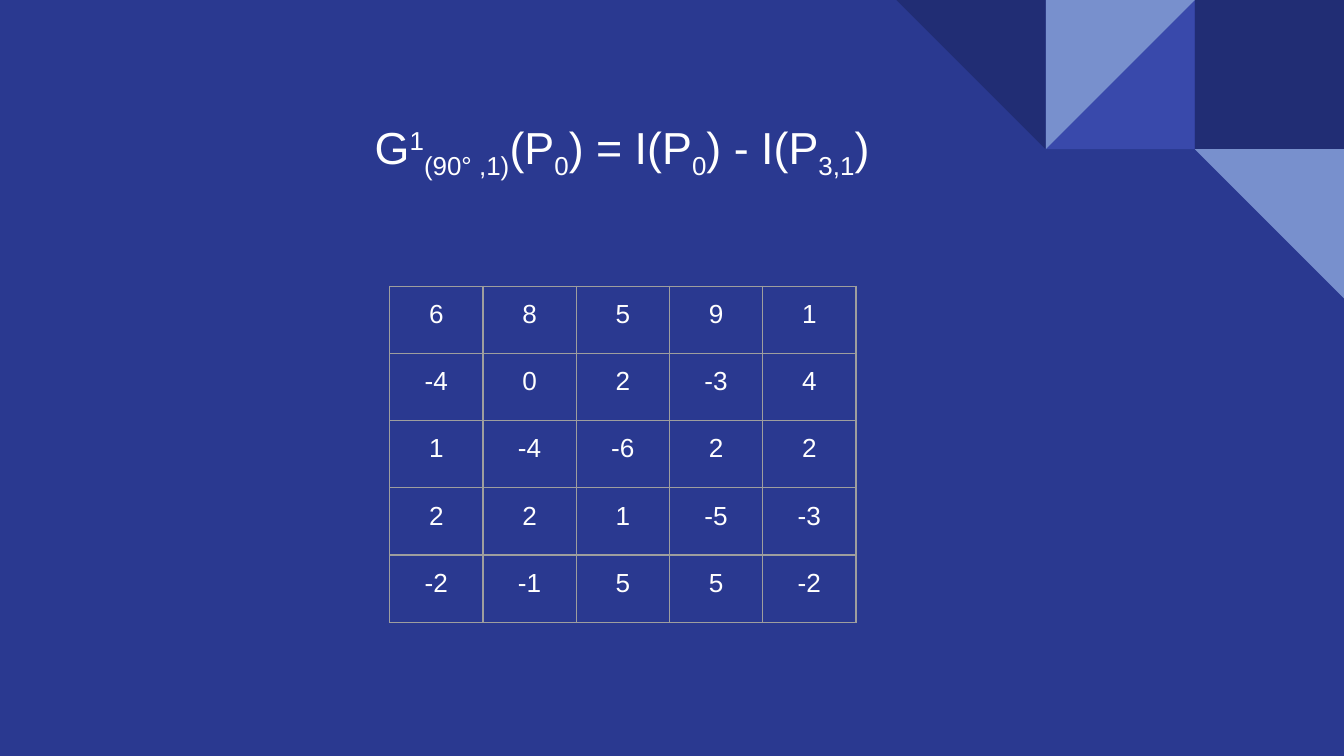
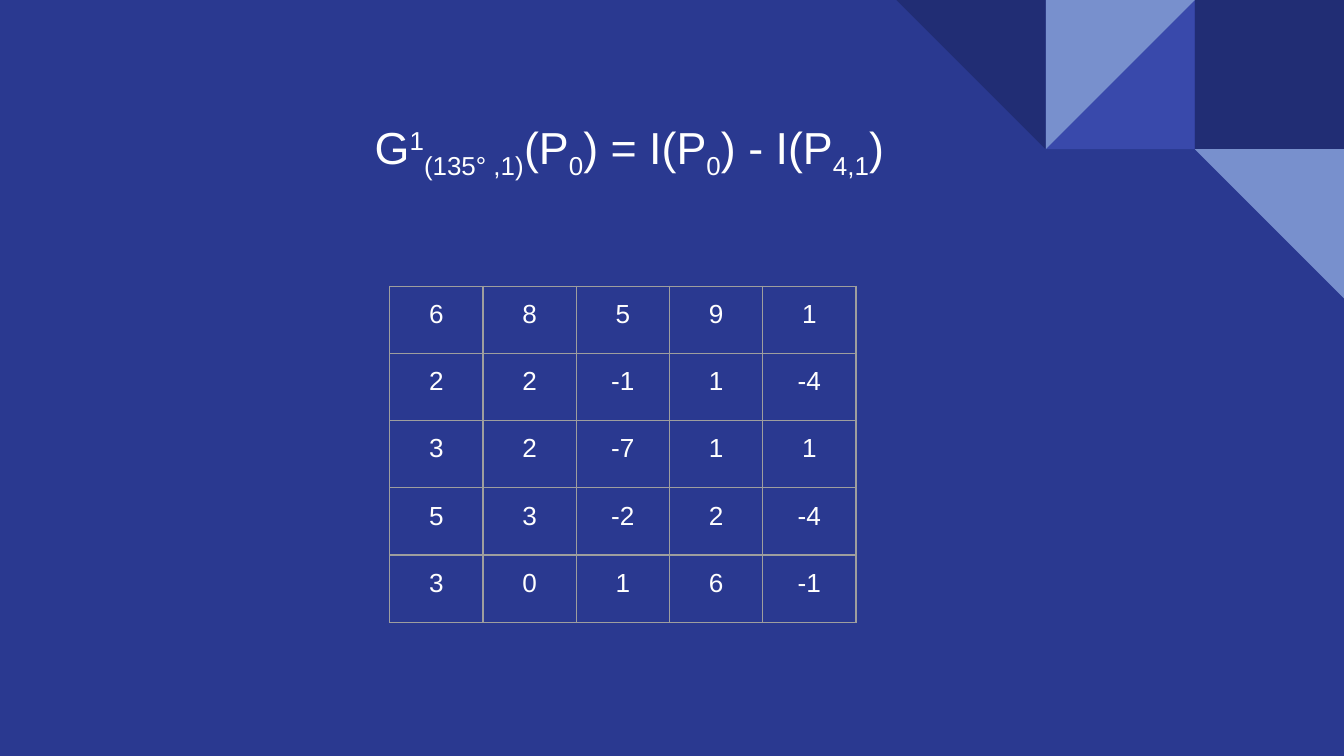
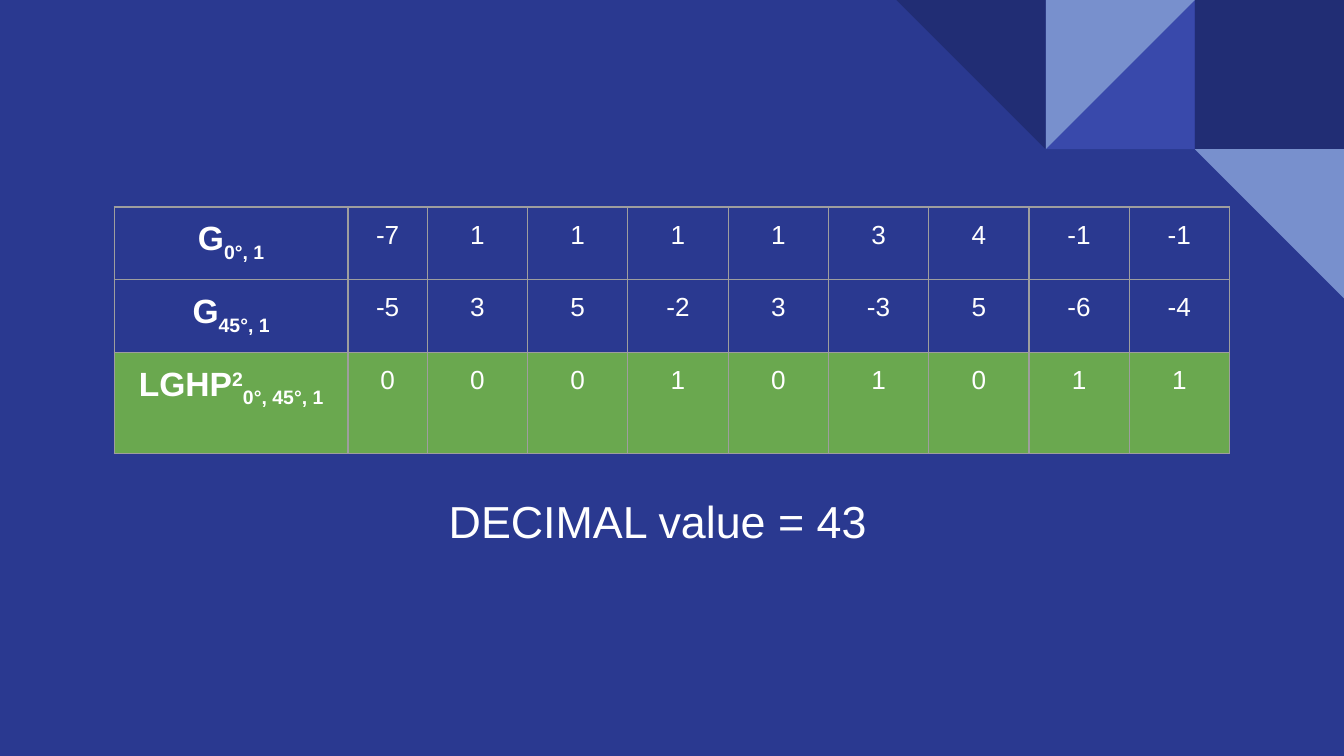
from pptx import Presentation
from pptx.dml.color import RGBColor
from pptx.enum.shapes import MSO_SHAPE as SHAPE
from pptx.enum.text import PP_ALIGN as ALIGN
from pptx.oxml import parse_xml
from pptx.oxml.ns import nsdecls
from pptx.util import Inches, Pt

BLUE = RGBColor(0x2A, 0x39, 0x90)
NAVY = RGBColor(0x21, 0x2D, 0x74)
INDIGO = RGBColor(0x39, 0x49, 0xAB)
SKY = RGBColor(0x78, 0x90, 0xCD)
GREEN = RGBColor(0x6A, 0xA8, 0x4F)
WHITE = RGBColor(0xFF, 0xFF, 0xFF)
GREY = RGBColor(0x9E, 0x9E, 0x9E)
FONT = "Arial"
MARGIN = Inches(0.1)
TILE = 1.11
SUP, SUB = 30, -25


def add_runs(tf, runs, size, bold=False, align=ALIGN.LEFT):
    tf.word_wrap = True
    p = tf.paragraphs[0]
    p.alignment = align
    for text, base in runs:
        r = p.add_run()
        r.text = text
        r.font.name = FONT
        r.font.size = Pt(size)
        r.font.bold = bold
        r.font.color.rgb = WHITE
        if base:
            r.font._element.set("baseline", str(base * 1000))


def add_grid(s, x, y, widths, heights, rows, green_row=None):
    table = s.shapes.add_table(len(rows), len(widths), Inches(x), Inches(y),
                               Inches(sum(widths)), Inches(sum(heights))).table
    table.first_row = table.horz_banding = False
    for col, width in zip(table.columns, widths):
        col.width = Inches(width)
    for i, (row, height) in enumerate(zip(rows, heights)):
        table.rows[i].height = Inches(height)
        for j, value in enumerate(row):
            cell = table.cell(i, j)
            cell.margin_left = cell.margin_right = MARGIN
            cell.margin_top = cell.margin_bottom = MARGIN
            if isinstance(value, list):
                add_runs(cell.text_frame, value, 18, True, ALIGN.CENTER)
            else:
                add_runs(cell.text_frame, [(str(value), 0)], 14, align=ALIGN.CENTER)
            if i == green_row:
                cell.fill.solid()
                cell.fill.fore_color.rgb = GREEN
            else:
                cell.fill.background()
            tc_pr = cell._tc.get_or_add_tcPr()
            for k, side in enumerate(("lnL", "lnR", "lnT", "lnB")):
                tc_pr.insert(k, parse_xml(
                    f'<a:{side} {nsdecls("a")} w="{Pt(0.75)}"><a:solidFill>'
                    f'<a:srgbClr val="{GREY}"/></a:solidFill></a:{side}>'))


prs = Presentation()
prs.slide_width = Inches(10)
prs.slide_height = Inches(10) * 9 // 16
fill = prs.slide_master.background.fill
fill.solid()
fill.fore_color.rgb = BLUE

tiles = [
    (SHAPE.RECTANGLE, 1, 0, NAVY, 0, False),
    (SHAPE.RIGHT_TRIANGLE, 2, 0, INDIGO, 0, True),
    (SHAPE.RIGHT_TRIANGLE, 2, 0, SKY, 180, True),
    (SHAPE.RIGHT_TRIANGLE, 3, 0, NAVY, 180, False),
    (SHAPE.RIGHT_TRIANGLE, 1, 1, SKY, 180, False),
]
slides = [prs.slides.add_slide(prs.slide_layouts[6]) for _ in range(3)]
for s in slides:
    corner = s.shapes.add_group_shape()
    for kind, from_right, row, color, turn, flip in tiles:
        sp = corner.shapes.add_shape(kind, Inches(10 - from_right * TILE), Inches(row * TILE),
                                     Inches(TILE), Inches(TILE))
        sp.shadow.inherit = False
        sp.fill.solid()
        sp.fill.fore_color.rgb = color
        sp.line.fill.background()
        sp.rotation = turn
        if flip:
            sp._element.spPr.xfrm.set("flipH", "1")

gradients = [
    ("(90° ,1)", "3,1", [
        [6, 8, 5, 9, 1],
        [-4, 0, 2, -3, 4],
        [1, -4, -6, 2, 2],
        [2, 2, 1, -5, -3],
        [-2, -1, 5, 5, -2],
    ]),
    ("(135° ,1)", "4,1", [
        [6, 8, 5, 9, 1],
        [2, 2, -1, 1, -4],
        [3, 2, -7, 1, 1],
        [5, 3, -2, 2, -4],
        [3, 0, 1, 6, -1],
    ]),
]
captions = []
for s, (angle, neighbour, pixels) in zip(slides, gradients):
    formula = [("G", 0), ("1", SUP), (angle, SUB), ("(P", 0), ("0", SUB), (") = I(P", 0),
               ("0", SUB), (") - I(P", 0), (neighbour, SUB), (")", 0)]
    captions.append((s, 2.69, 0.79, 4.6, 0.94, formula))
    add_grid(s, 2.9, 2.13, [3.47 / 5] * 5, [0.5] * 5, pixels)

pattern = [
    [[("G", 0), ("0°, 1", SUB)], -7, 1, 1, 1, 1, 3, 4, -1, -1],
    [[("G", 0), ("45°, 1", SUB)], -5, 3, 5, -2, 3, -3, 5, -6, -4],
    [[("LGHP", 0), ("2", SUP), ("0°, 45°, 1", SUB)], 0, 0, 0, 1, 0, 1, 0, 1, 1],
]
add_grid(slides[2], 0.85, 1.54, [1.74, 0.59] + [5.97 / 8] * 8, [0.47, 0.47, 0.75], pattern, 2)
captions.append((slides[2], 3.24, 3.57, 3.53, 1.1, [("DECIMAL value = 43", 0)]))

for s, x, y, w, h, runs in captions:
    tf = s.shapes.add_textbox(Inches(x), Inches(y), Inches(w), Inches(h)).text_frame
    tf.margin_left = tf.margin_right = tf.margin_top = tf.margin_bottom = MARGIN
    add_runs(tf, runs, 24)

prs.save("out.pptx")
